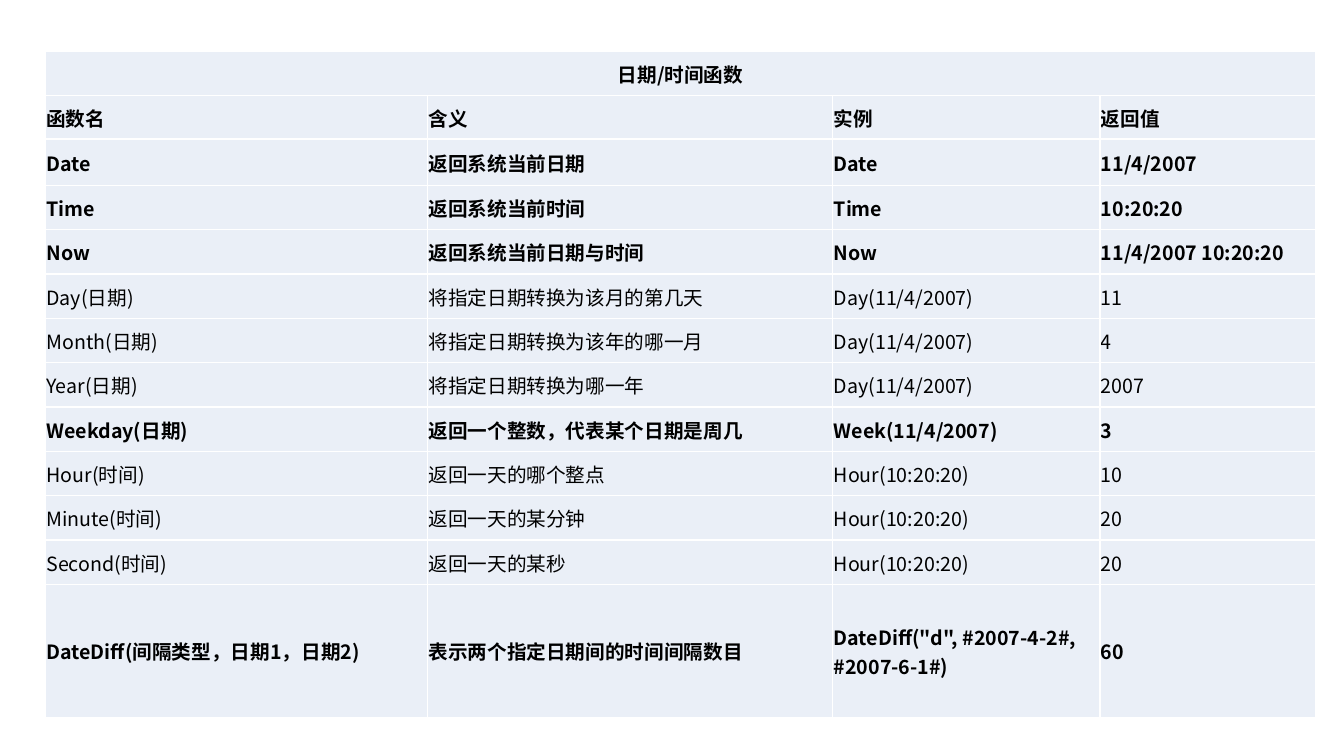
"""Build a slide with a table of date and time functions."""
from lxml.etree import SubElement
from pptx import Presentation
from pptx.dml.color import RGBColor
from pptx.enum.text import MSO_ANCHOR, PP_ALIGN
from pptx.oxml.ns import qn
from pptx.util import Inches, Pt

FACE = "Noto Sans CJK SC"
WIDTHS = [3.79, 4.02, 2.65, 2.14]
HEIGHTS = [0.44, 0.43, 0.46] + [0.44] * 9 + [1.32]
LIGHT = ("Day", "Month", "Year", "Hour", "Minute", "Second")
ROWS = [
    ["日期/时间函数", "", "", ""],
    ["函数名", "含义", "实例", "返回值"],
    ["Date", "返回系统当前日期", "Date", "11/4/2007"],
    ["Time", "返回系统当前时间", "Time", "10:20:20"],
    ["Now", "返回系统当前日期与时间", "Now", "11/4/2007 10:20:20"],
    ["Day(日期)", "将指定日期转换为该月的第几天", "Day(11/4/2007)", "11"],
    ["Month(日期)", "将指定日期转换为该年的哪一月", "Day(11/4/2007)", "4"],
    ["Year(日期)", "将指定日期转换为哪一年", "Day(11/4/2007)", "2007"],
    ["Weekday(日期)", "返回一个整数，代表某个日期是周几", "Week(11/4/2007)", "3"],
    ["Hour(时间)", "返回一天的哪个整点", "Hour(10:20:20)", "10"],
    ["Minute(时间)", "返回一天的某分钟", "Hour(10:20:20)", "20"],
    ["Second(时间)", "返回一天的某秒", "Hour(10:20:20)", "20"],
    ["DateDiff(间隔类型，日期1，日期2)", "表示两个指定日期间的时间间隔数目",
     'DateDiff("d", #2007-4-2#,\v#2007-6-1#)', "60"],
]
BOX = {
    "vertical_anchor": MSO_ANCHOR.MIDDLE,
    "margin_left": Inches(0.01),
    "margin_right": Inches(0.01),
    "margin_top": Inches(0.01),
    "margin_bottom": 0,
}
FONT = {"size": Pt(14), "name": FACE}


def paint(fill, code):
    fill.solid()
    fill.fore_color.rgb = RGBColor.from_string(code)


def edge(cell, code):
    props = cell._tc.get_or_add_tcPr()
    for side in ("a:lnL", "a:lnR", "a:lnT", "a:lnB"):
        line = SubElement(props, qn(side), w=str(Pt(1)))
        solid = SubElement(line, qn("a:solidFill"))
        SubElement(solid, qn("a:srgbClr"), val=code)


deck = Presentation()
deck.slide_width, deck.slide_height = Inches(13.33), Inches(7.5)
slide = deck.slides.add_slide(deck.slide_layouts[6])
frame = slide.shapes.add_table(
    len(ROWS), len(WIDTHS), Inches(0.45), Inches(0.51),
    Inches(sum(WIDTHS)), Inches(sum(HEIGHTS)))
table = frame.table
table.first_row = table.horz_banding = False
for col, width in zip(table.columns, WIDTHS):
    col.width = Inches(width)

for row, height, texts in zip(table.rows, HEIGHTS, ROWS):
    row.height = Inches(height)
    bold = texts[0].split("(")[0] not in LIGHT
    for cell, text in zip(row.cells, texts):
        edge(cell, "FFFFFF")
        paint(cell.fill, "EAEFF7")
        for key, value in BOX.items():
            setattr(cell, key, value)
        para = cell.text_frame.paragraphs[0]
        para.text = text
        for run in para.runs:
            for key, value in FONT.items():
                setattr(run.font, key, value)
            run.font.bold = bold
            paint(run.font.fill, "000000")
            SubElement(run.font._element, qn("a:ea"), typeface=FACE)

head = table.cell(0, 0)
head.merge(table.cell(0, len(WIDTHS) - 1))
head.text_frame.paragraphs[0].alignment = PP_ALIGN.CENTER
deck.save("out.pptx")
